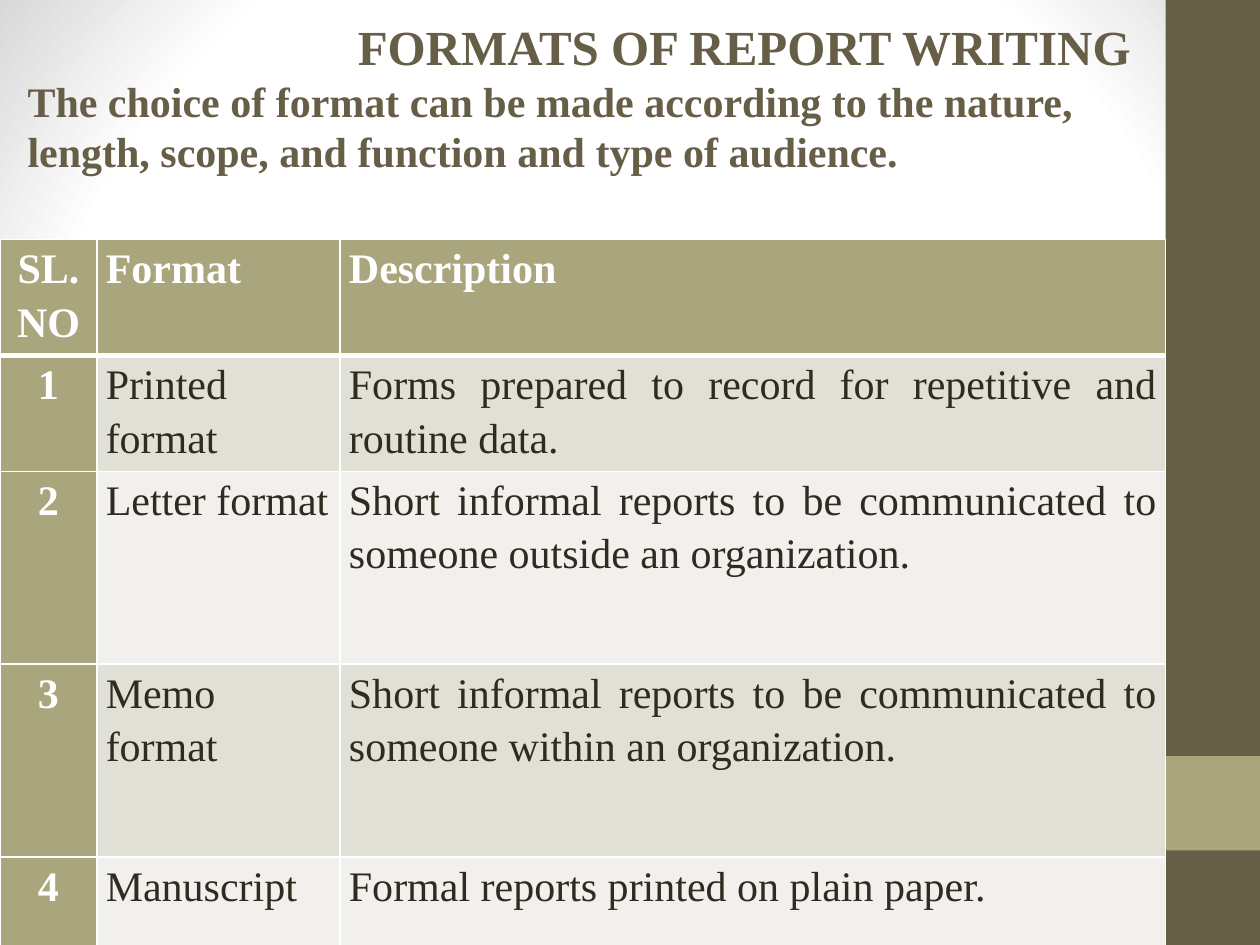
from lxml.etree import SubElement
from pptx import Presentation
from pptx.dml.color import RGBColor
from pptx.enum.shapes import MSO_SHAPE
from pptx.enum.text import MSO_ANCHOR, PP_ALIGN
from pptx.oxml import parse_xml
from pptx.oxml.ns import nsdecls, qn
from pptx.util import Inches, Pt

FONT = "Times New Roman"
BROWN, OLIVE, WHITE, INK = "675E47", "A9A57C", "FFFFFF", "2F2B20"
BANDS = ["E1E0D6", "F1F0EC"]
COLUMN_WIDTHS = [0.77, 1.93, 6.55]
ROW_HEIGHTS = [0.83, 0.85, 1.53, 1.53, 0.73]
ROWS = [
    ("SL.NO", "Format", "Description"),
    ("1", "Printed format", "Forms prepared to record for repetitive and routine data."),
    ("2", "Letter format",
     "Short informal reports to be communicated to someone outside an organization."),
    ("3", "Memo format",
     "Short informal reports to be communicated to someone within an organization."),
    ("4", "Manuscript", "Formal reports printed on plain paper."),
]


def color(value):
    return RGBColor.from_string(value)


def set_background(page):
    page.background.fill.solid()
    properties = page.background._cSld.bg.bgPr
    stops = "".join(
        f'<a:gs pos="{position}"><a:srgbClr val="{value}"/></a:gs>'
        for position, value in [(0, WHITE), (75000, WHITE), (100000, "D8D8D8")])
    gradient = parse_xml(
        f'<a:gradFill {nsdecls("a")} rotWithShape="1"><a:gsLst>{stops}</a:gsLst>'
        '<a:path path="circle"><a:fillToRect l="50000" t="50000" r="50000" b="50000"/>'
        '</a:path></a:gradFill>')
    properties.replace(properties.find(qn("a:solidFill")), gradient)


def add_block(page, top, height, fill):
    block = page.shapes.add_shape(
        MSO_SHAPE.RECTANGLE, Inches(9.25), Inches(top), Inches(0.75), Inches(height))
    block.shadow.inherit = False
    block.fill.solid()
    block.fill.fore_color.rgb = color(fill)
    block.line.fill.background()


def write(para, text, size=24, fill=INK, bold=False, align=PP_ALIGN.LEFT, spacing=None):
    para.alignment = align
    para.line_spacing = spacing
    span = para.add_run()
    span.text = text
    span.font.name = FONT
    span.font.size = Pt(size)
    span.font.bold = bold
    span.font.color.rgb = color(fill)


def add_heading(page):
    box = page.shapes.add_textbox(Inches(0.12), Inches(0.08), Inches(8.95), Inches(1.35))
    frame = box.text_frame
    frame.word_wrap = True
    frame.vertical_anchor = MSO_ANCHOR.TOP
    write(frame.paragraphs[0], "FORMATS OF REPORT WRITING",
          size=28, fill=BROWN, bold=True, align=PP_ALIGN.RIGHT)
    write(frame.add_paragraph(),
          "The choice of format can be made according to the nature, "
          "length, scope, and function and type of audience.", fill=BROWN, bold=True)


def add_borders(cell, widths):
    properties = cell._tc.get_or_add_tcPr()
    for side, width in widths.items():
        line = SubElement(properties, qn(f"a:ln{side}"), w=str(Pt(width)))
        SubElement(SubElement(line, qn("a:solidFill")), qn("a:srgbClr"), val=WHITE)


def format_cell(cell, text, row, column):
    accent = row == 0 or column == 0
    cell.margin_left = cell.margin_right = Inches(0.07)
    cell.margin_top = cell.margin_bottom = 0
    add_borders(cell, {"L": 1, "R": 1, "T": 3 if row == 1 else 1, "B": 3 if row == 0 else 1})
    cell.fill.solid()
    cell.fill.fore_color.rgb = color(OLIVE if accent else BANDS[(row - 1) % 2])
    write(cell.text_frame.paragraphs[0], text, fill=WHITE if accent else INK, bold=accent,
          align=PP_ALIGN.CENTER if column == 0 else PP_ALIGN.JUSTIFY, spacing=1.15)


def add_format_table(page):
    table = page.shapes.add_table(
        len(ROWS), len(COLUMN_WIDTHS), Inches(0), Inches(1.9),
        Inches(sum(COLUMN_WIDTHS)), Inches(sum(ROW_HEIGHTS))).table
    for column, width in zip(table.columns, COLUMN_WIDTHS):
        column.width = Inches(width)
    for row, height in zip(table.rows, ROW_HEIGHTS):
        row.height = Inches(height)
    for row, texts in enumerate(ROWS):
        for column, text in enumerate(texts):
            format_cell(table.cell(row, column), text, row, column)


def main():
    deck = Presentation()
    deck.slide_width, deck.slide_height = Inches(10), Inches(7.5)
    page = deck.slides.add_slide(deck.slide_layouts[6])
    set_background(page)
    # Side band with its accent square
    add_block(page, 0, 7.5, BROWN)
    add_block(page, 6, 0.75, OLIVE)
    # Heading and table of formats
    add_heading(page)
    add_format_table(page)
    deck.save("out.pptx")


if __name__ == "__main__":
    main()
